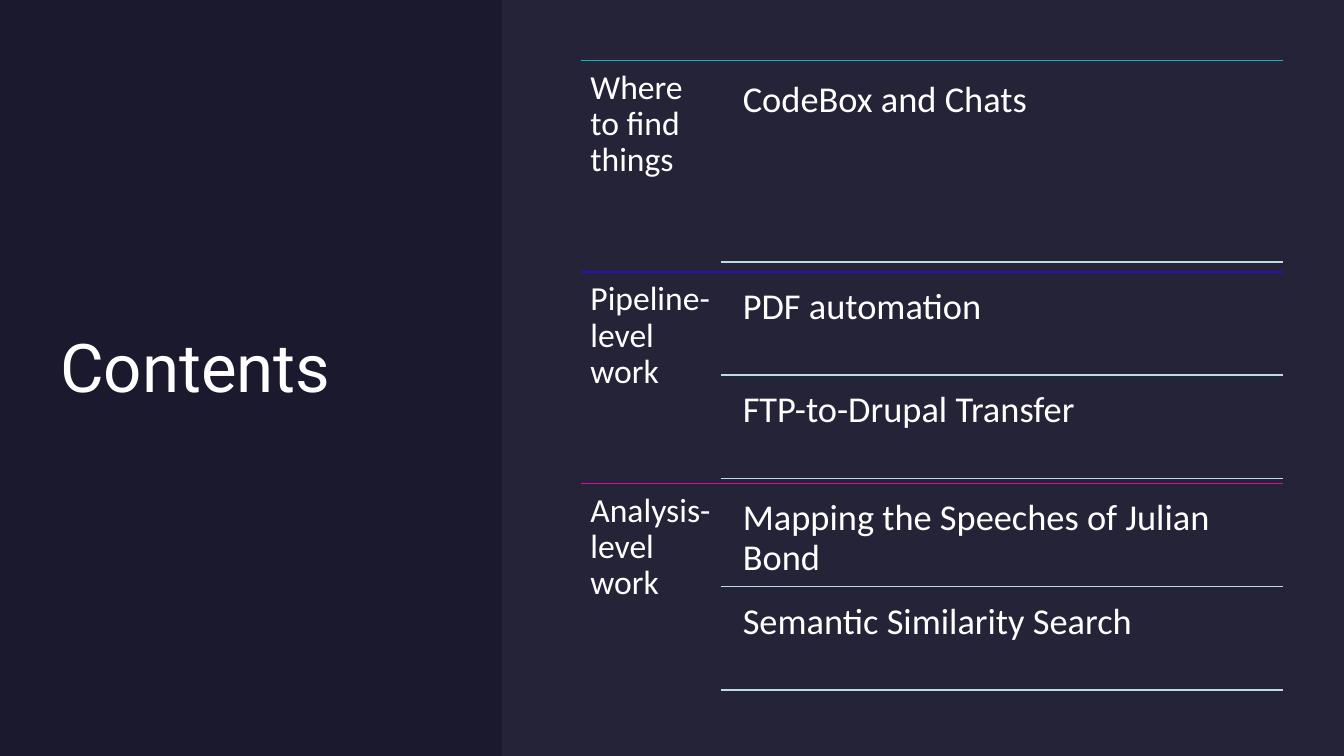
from lxml import etree
from pptx import Presentation
from pptx.dml.color import RGBColor
from pptx.enum import shapes, text
from pptx.oxml.ns import qn
from pptx.util import Cm, Pt

WHITE = "FFFFFF"
NAVY = "1B192E"
ITEM_RULE = "BDDDE2"

LEFT, RIGHT = 14.63, 32.33
ITEM_LEFT = 18.16
TOP, SECTION_HEIGHT = 1.52, 5.33
SECTION_GAP = 0.25

SECTIONS = [
    ("Where to find things", "12B1BF", ["CodeBox and Chats"]),
    ("Pipeline-level work", "2A0EC9", ["PDF automation", "FTP-to-Drupal Transfer"]),
    ("Analysis-level work", "D40AA8",
     ["Mapping the Speeches of Julian Bond", "Semantic Similarity Search"]),
]


def color(value):
    return RGBColor.from_string(value)


def add_text(box, words, size, font, inset, anchor, spacing):
    left, top, width, height = (Cm(length) for length in box)
    frame = slide.shapes.add_textbox(left, top, width, height).text_frame
    frame.word_wrap = True
    frame.vertical_anchor = anchor
    frame.margin_left = frame.margin_right = Cm(inset)
    frame.margin_top = frame.margin_bottom = Cm(inset)
    frame.text = words
    paragraph = frame.paragraphs[0]
    paragraph.line_spacing = spacing
    run_font = paragraph.runs[0].font
    run_font.name, run_font.size = font, Pt(size)
    run_font.color.rgb = color(WHITE)


presentation = Presentation()
presentation.slide_width, presentation.slide_height = Cm(33.87), Cm(19.05)
slide = presentation.slides.add_slide(presentation.slide_layouts[6])

# Background and the pale panel on the right
slide.background.fill.solid()
slide.background.fill.fore_color.rgb = color(NAVY)
panel = slide.shapes.add_shape(
    shapes.MSO_SHAPE.RECTANGLE, Cm(12.65), 0, Cm(21.22), Cm(19.05))
panel.shadow.inherit = False
panel.line.fill.background()
panel.fill.solid()
panel.fill.fore_color.rgb = color("E4E3F0")
panel_color = panel.fill._xPr.find(".//" + qn("a:srgbClr"))
etree.SubElement(panel_color, qn("a:alpha"), val="5000")

# Title
add_text((1.52, 1.52, 9.91, 15.39), "Contents", 48, "Roboto", 0,
         text.MSO_ANCHOR.MIDDLE, 1.0)

# Sections: a heading on the left, its items sharing the height on the right
rules = []
for index, (heading, accent, items) in enumerate(SECTIONS):
    top = TOP + index * SECTION_HEIGHT
    rules.append((LEFT, top, accent))
    add_text((LEFT, top, ITEM_LEFT - LEFT, SECTION_HEIGHT), heading, 24,
             "Calibri", 0.25, text.MSO_ANCHOR.TOP, 0.9)

    gap = SECTION_GAP / len(items)
    item_height = (SECTION_HEIGHT - gap) / len(items) - gap
    for row, item in enumerate(items):
        item_top = top + gap + row * (item_height + gap)
        add_text((ITEM_LEFT + 0.28, item_top, 13.89, item_height), item, 26,
                 "Calibri", 0.28, text.MSO_ANCHOR.TOP, 0.9)
        rules.append((ITEM_LEFT, item_top + item_height, ITEM_RULE))

# Rules above sections and below items
for left, y, rule_color in rules:
    rule = slide.shapes.add_connector(
        shapes.MSO_CONNECTOR.STRAIGHT, Cm(left), Cm(y), Cm(RIGHT), Cm(y))
    rule.line.color.rgb = color(rule_color)
    rule.line.width = Pt(1)
    etree.SubElement(rule._element.spPr, qn("a:effectLst"))

presentation.save("out.pptx")
